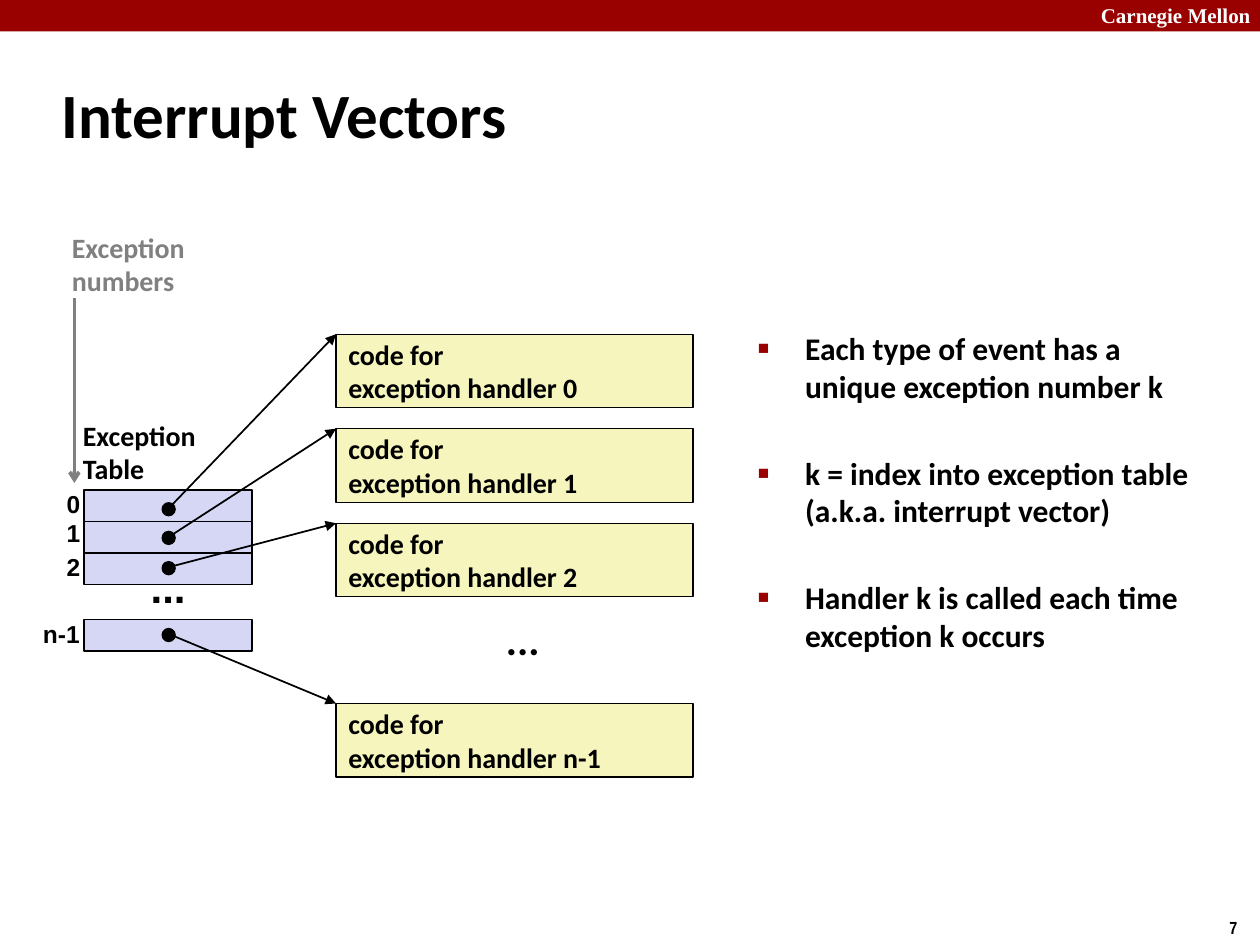
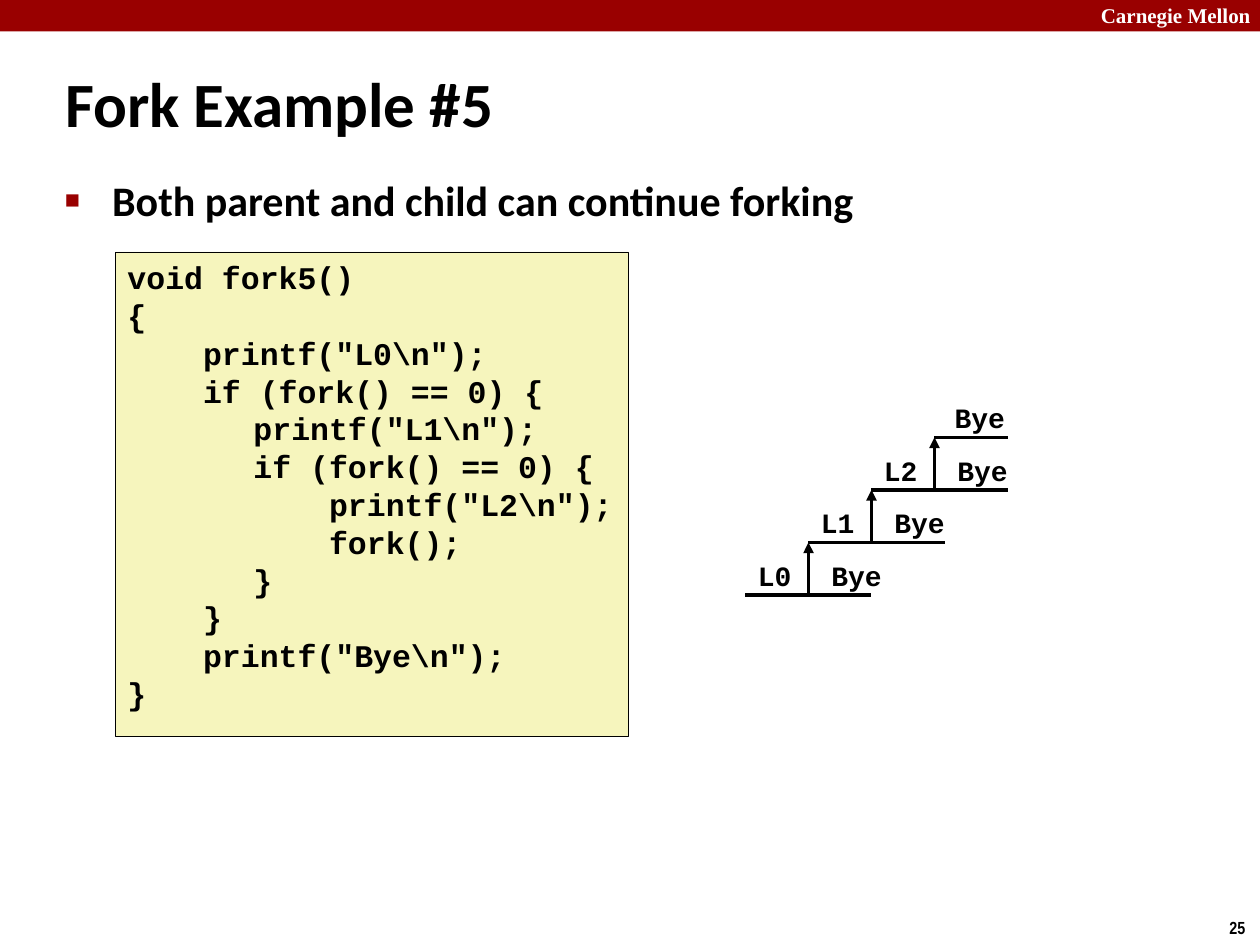
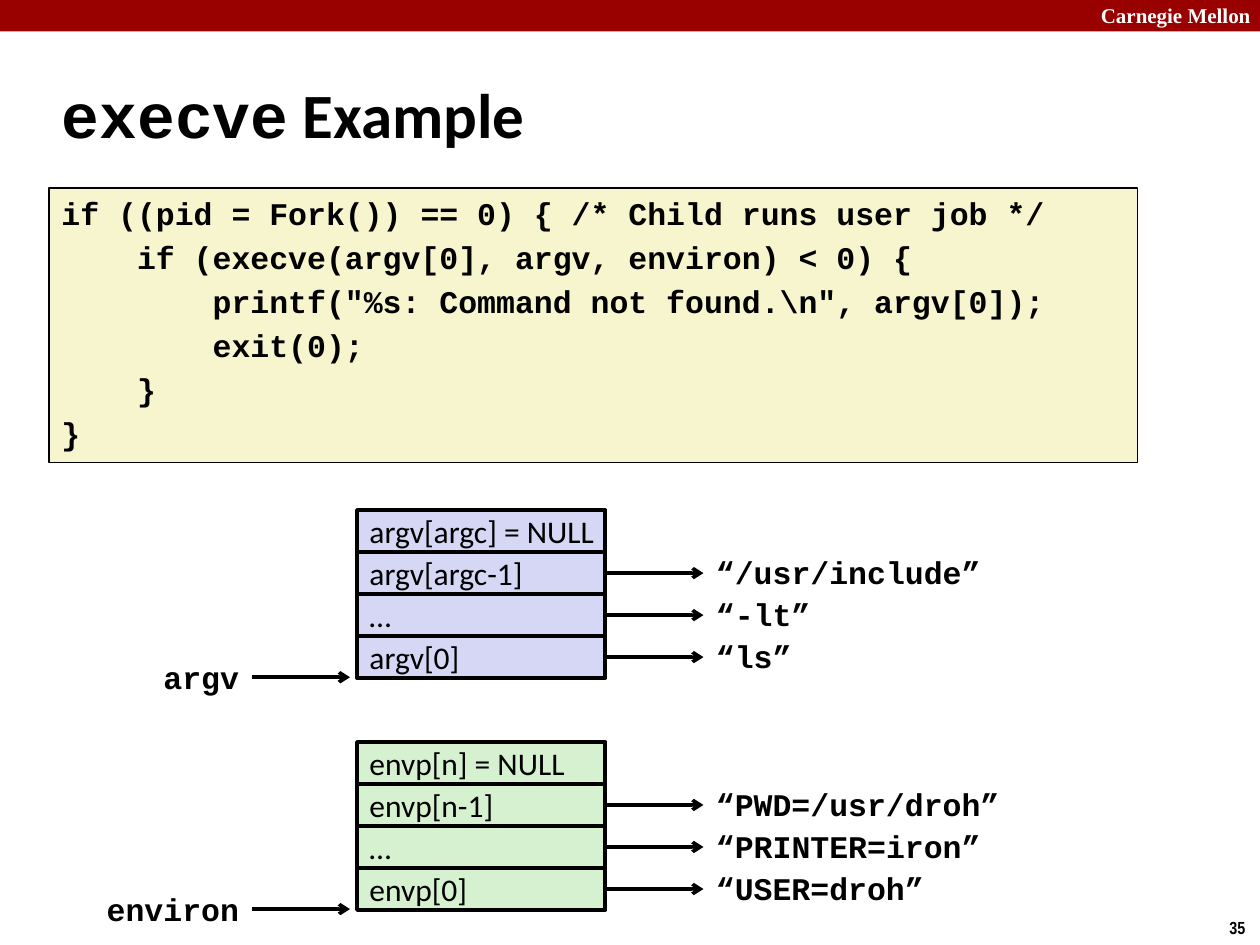
from lxml.etree import SubElement
from pptx import Presentation
from pptx.dml.color import RGBColor
from pptx.enum.shapes import MSO_CONNECTOR as Link, MSO_SHAPE as Kind
from pptx.enum.text import MSO_ANCHOR as Anchor, PP_ALIGN as Align
from pptx.oxml.ns import qn
from pptx.util import Pt


class Theme:
    red, black, white, gray = "990000", "000000", "FFFFFF", "808080"
    cream, pale, lilac, green = "F6F5BD", "F7F5CD", "D6D6F5", "D5F1CF"
    sans, mono, arial = "Calibri", "Courier New", "Arial"
    serif, narrow = "Times New Roman", "Arial Narrow"
    head, lead, body, label, index, brand, page = 36, 24, 18, 16, 14, 12, 10


# ---- Content ----
BRAND = "Carnegie Mellon"

# label, label top, cell top, dot top, handler top
VECTORS = [
    ("0", 275.8, 280, 287.4, 191),
    ("1", 292.3, 298, 303.8, 245),
    ("2", 311.8, 316, 321.1, 299),
    ("n-1", 350, 354, 359.3, 402),
]
POINTS = [
    ["Each type of event has a", "unique exception number k"],
    ["k = index into exception table", "(a.k.a. interrupt vector)"],
    ["Handler k is called each time", "exception k occurs"],
]

FORK_POINT = [["Both parent and child can continue forking"]]
FORK_CODE = r"""void fork5()
{
    printf("L0\n");
    if (fork() == 0) {
	printf("L1\n");
	if (fork() == 0) {
	    printf("L2\n");
	    fork();
	}
    }
    printf("Bye\n");
}""".split("\n")
# label before the fork, right end of the line
LEVELS = [("L0", 498), ("L1", 540), ("L2", 576), ("", 576)]

EXEC_CODE = r"""if ((pid = Fork()) == 0) { /* Child runs user job */
    if (execve(argv[0], argv, environ) < 0) {
        printf("%s: Command not found.\n", argv[0]);
        exit(0);
    }
}""".split("\n")
# name, top, fill, rows of (cell, string it points to)
ARRAYS = [
    ("argv", 291.5, Theme.lilac, [
        ("argv[argc] = NULL", ""), ("argv[argc-1]", "“/usr/include”"),
        ("…", "“-lt”"), ("argv[0]", "“ls”")]),
    ("environ", 424, Theme.green, [
        ("envp[n] = NULL", ""), ("envp[n-1]", "“PWD=/usr/droh”"),
        ("…", "“PRINTER=iron”"), ("envp[0]", "“USER=droh”")]),
]


# ---- Helpers ----
def rgb(hue):
    return RGBColor.from_string(hue)


def add_run(para, text, size, font=Theme.sans, hue=Theme.black, bold=True):
    run = para.add_run()
    run.text = text
    run.font.name, run.font.size, run.font.bold = font, Pt(size), bold
    run.font.color.rgb = rgb(hue)


def write(shape, lines, size, font=Theme.sans, hue=Theme.black, bold=True,
          mid=False, wrap=False, gap=0):
    frame = shape.text_frame
    frame.word_wrap = wrap
    frame.vertical_anchor = Anchor.MIDDLE if mid else Anchor.TOP
    for i, line in enumerate(lines):
        para = frame.paragraphs[0] if i == 0 else frame.add_paragraph()
        para.alignment = Align.LEFT
        if "\t" in line:
            tabs = SubElement(para._p.get_or_add_pPr(), qn("a:tabLst"))
            SubElement(tabs, qn("a:tab"), pos=str(Pt(72)), algn="l")
        if font == Theme.mono:
            para.line_spacing = Pt(1.2 * size)
        if i and gap:
            para.space_before = Pt(gap)
        add_run(para, line, size, font, hue, bold)


def add_text(slide, x, y, w, h, lines, size, **style):
    box = slide.shapes.add_textbox(Pt(x), Pt(y), Pt(w), Pt(h))
    write(box, lines, size, **style)


def add_box(slide, x, y, w, h, fill, width=1, kind=Kind.RECTANGLE):
    box = slide.shapes.add_shape(kind, Pt(x), Pt(y), Pt(w), Pt(h))
    box.shadow.inherit = False
    box.fill.solid()
    box.fill.fore_color.rgb = rgb(fill)
    if width:
        box.line.color.rgb = rgb(Theme.black)
        box.line.width = Pt(width)
    else:
        box.line.fill.background()
    return box


def add_line(slide, x1, y1, x2, y2, width=2, hue=Theme.black, tip=None):
    line = slide.shapes.add_connector(
        Link.STRAIGHT, Pt(x1), Pt(y1), Pt(x2), Pt(y2))
    line.line.color.rgb = rgb(hue)
    line.line.width = Pt(width)
    props = line.element.spPr
    if tip:
        SubElement(props.find(qn("a:ln")), qn("a:tailEnd"), type=tip)
    SubElement(props, qn("a:effectLst"))


def add_points(slide, x, y, w, h, points, size, gap=0):
    box = slide.shapes.add_textbox(Pt(x), Pt(y), Pt(w), Pt(h))
    frame = box.text_frame
    frame.word_wrap = True
    for i, lines in enumerate(points):
        para = frame.paragraphs[0] if i == 0 else frame.add_paragraph()
        props = para._p.get_or_add_pPr()
        props.set("marL", str(Pt(27)))
        props.set("indent", str(-Pt(27)))
        tint = SubElement(props, qn("a:buClr"))
        SubElement(tint, qn("a:srgbClr"), val=Theme.red)
        SubElement(props, qn("a:buSzPct"), val="60000")
        SubElement(props, qn("a:buFont"), typeface=Theme.arial)
        SubElement(props, qn("a:buChar"), char="■")
        if i:
            para.space_before = Pt(gap)
        for j, line in enumerate(lines):
            if j:
                para.add_line_break()
            add_run(para, line, size)


def new_slide(deck, number, title, place):
    """Start a slide with the band, page number and title runs."""
    slide = deck.slides.add_slide(deck.slide_layouts[5])
    add_box(slide, 0, 0, 720, 18, Theme.red, 0)
    add_text(slide, 622, -2, 103, 22, [BRAND], Theme.brand,
             font=Theme.serif, hue=Theme.white, wrap=True)
    add_text(slide, 695.5, 520.5, 24.5, 19.5, [number], Theme.page,
             font=Theme.narrow)
    head = slide.shapes.title
    head.left, head.top, head.width, head.height = map(Pt, place)
    head.text_frame.word_wrap = True
    head.text_frame.vertical_anchor = Anchor.MIDDLE
    para = head.text_frame.paragraphs[0]
    para.alignment = Align.LEFT
    for text, font in title:
        add_run(para, text, Theme.head, font)
    return slide


# ---- Slides ----
def vectors(deck):
    slide = new_slide(deck, "7", [("Interrupt Vectors", Theme.sans)],
                      (28, 34.5, 598, 60))
    add_points(slide, 426, 184.5, 282, 204, POINTS, Theme.body, gap=28)

    # Exception table and its index
    for name, y, cell, dot, code in VECTORS:
        add_box(slide, 48, cell, 96, 18, Theme.lilac)
        wide = 22 if len(name) == 1 else 35.5
        add_text(slide, 53 - wide, y, wide, 24, [name], Theme.index,
                 font=Theme.arial, mid=True)
    add_text(slide, 79, 317, 35, 36, ["..."], Theme.lead,
             font=Theme.arial, mid=True)
    add_text(slide, 40.3, 235.5, 80, 46, ["Exception", "Table"], Theme.label)
    add_text(slide, 34, 128, 84, 46, ["Exception", "numbers"], Theme.label,
             hue=Theme.gray)
    add_line(slide, 42.5, 170.5, 42.5, 276, hue=Theme.gray, tip="arrow")

    # Handlers and pointers
    for name, y, cell, dot, code in VECTORS:
        box = add_box(slide, 192, code, 204, 42, Theme.cream, 0.75)
        write(box, ["code for", f"exception handler {name}"], Theme.label,
              mid=True)
        add_box(slide, 92.8, dot, 7.2, 7.2, Theme.black, kind=Kind.OVAL)
        add_line(slide, 96.5, dot + 3, 192, code, 1, tip="triangle")
    add_text(slide, 282, 347, 35, 36, ["..."], Theme.lead, mid=True)


def fork(deck):
    slide = new_slide(deck, "25", [("Fork Example #5", Theme.sans)],
                      (30, 36, 401, 45))
    add_points(slide, 30, 96, 622, 60, FORK_POINT, Theme.lead)
    box = add_box(slide, 65.8, 144, 293.5, 276.5, Theme.cream, 0.25)
    write(box, FORK_CODE, Theme.body, font=Theme.mono)

    # Process graph: each fork climbs one step
    for i, (name, end) in enumerate(LEVELS):
        x, y = 426 + 36 * i, 340 - 30 * i
        add_line(slide, x, y, end, y)
        bye = x + 4.5
        if name:
            bye = x + 42
            add_line(slide, x + 36, y, x + 36, y - 30, tip="triangle")
            add_text(slide, x, y - 24.5, 34, 26.5, [name], Theme.label,
                     font=Theme.mono)
        add_text(slide, bye, y - 24.5, 44, 26.5, ["Bye"], Theme.label,
                 font=Theme.mono)


def execute(deck):
    slide = new_slide(deck, "35",
                      [("execve", Theme.mono), (" Example", Theme.sans)],
                      (28, 34.5, 598, 60))
    box = add_box(slide, 28, 107.3, 622, 157, Theme.pale)
    write(box, EXEC_CODE, Theme.body, font=Theme.mono, wrap=True, gap=3.6)

    # Pointer arrays, their strings and their names
    def add_name(x, y, text, wide):
        add_text(slide, x, y, wide, 29, [text], Theme.body, font=Theme.mono)

    for name, top, fill, rows in ARRAYS:
        for i, (cell, text) in enumerate(rows):
            y = top + 24 * i
            box = add_box(slide, 204, y, 142, 24, fill, 2.25)
            write(box, [cell], Theme.body, bold=False, mid=True)
            if text:
                add_line(slide, 346, y + 12, 402, y + 12, tip="arrow")
                add_name(402, y - 2.8, text, 10.8 * len(text) + 15)
        base = top + 24 * len(rows) - 0.5
        add_line(slide, 144, base, 200, base, tip="arrow")
        wide = 10.8 * len(name) + 15
        add_name(144.5 - wide, base - 14.4, name, wide)


def main():
    deck = Presentation()
    deck.slide_width, deck.slide_height = Pt(720), Pt(540)
    for build in (vectors, fork, execute):
        build(deck)
    deck.save("out.pptx")


if __name__ == "__main__":
    main()
